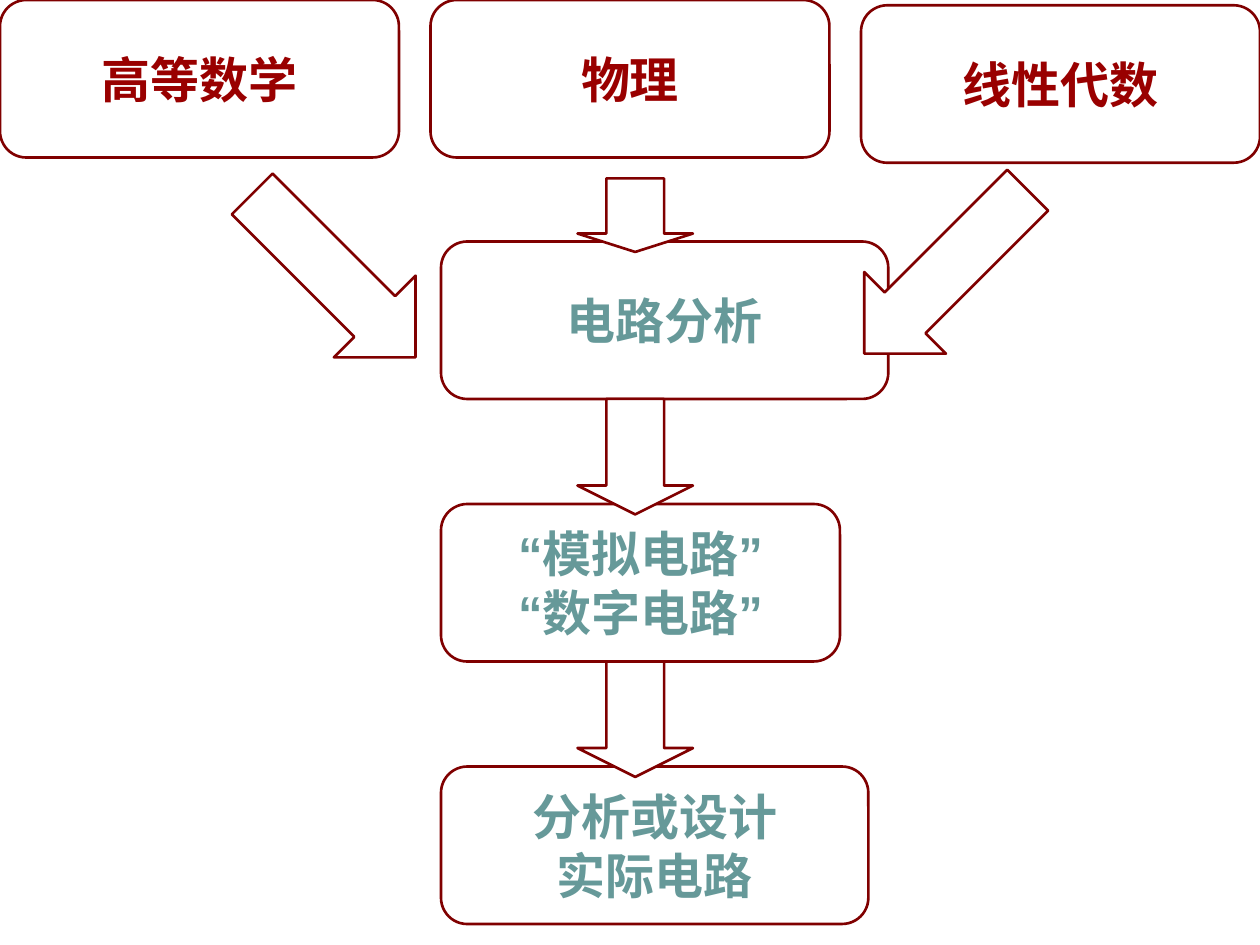
from itertools import groupby

from pptx import Presentation
from pptx.dml.color import RGBColor
from pptx.enum.shapes import MSO_SHAPE
from pptx.enum.text import MSO_ANCHOR, PP_ALIGN
from pptx.oxml.ns import qn
from pptx.util import Inches, Pt

COLORS = {"outline": "800000", "prerequisite": "990000", "course": "669999", "arrow": "FFFFFF"}
QUOTES = "“”"
FONTS = {True: "Arial", False: "Noto Sans CJK KR"}
TEXT_FORMAT = {"size": Pt(28), "bold": True}
FRAME_FORMAT = {"word_wrap": False, "vertical_anchor": MSO_ANCHOR.MIDDLE}

presentation = Presentation()
presentation.slide_width, presentation.slide_height = Inches(10), Inches(7.5)
slide = presentation.slides.add_slide(presentation.slide_layouts.get_by_name("Blank"))
COLUMN = presentation.slide_width / 12
ROW = presentation.slide_height / 18


def add_outlined(kind, left, top, width, height):
    """Add a shape placed in grid columns and rows, with the common outline."""
    shape = slide.shapes.add_shape(
        kind, int(left * COLUMN), int(top * ROW), int(width * COLUMN), int(height * ROW))
    shape.shadow.inherit = False
    shape.line.color.rgb = RGBColor.from_string(COLORS["outline"])
    shape.line.width = Pt(1.5)
    return shape


def add_box(left, top, width, lines, color):
    shape = add_outlined(MSO_SHAPE.ROUNDED_RECTANGLE, left, top, width, 3)
    shape.fill.background()
    frame = shape.text_frame
    for name, value in FRAME_FORMAT.items():
        setattr(frame, name, value)
    for index, line in enumerate(lines):
        paragraph = frame.add_paragraph() if index else frame.paragraphs[0]
        paragraph.alignment = PP_ALIGN.CENTER
        for is_quote, letters in groupby(line, key=lambda letter: letter in QUOTES):
            run = paragraph.add_run()
            run.text = "".join(letters)
            for name, value in TEXT_FORMAT.items():
                setattr(run.font, name, value)
            run.font.color.rgb = RGBColor.from_string(COLORS[color])
            run.font.name = FONTS[is_quote]
            east_asian = run._r.get_or_add_rPr().makeelement(
                qn("a:ea"), {"typeface": FONTS[is_quote]})
            run._r.rPr.find(qn("a:latin")).addnext(east_asian)


# Prerequisites along the top, at an equal step
for index, (subject, top) in enumerate([("高等数学", 0), ("物理", 0), ("线性代数", 0.1)]):
    add_box(4.1 * index, top, 3.8, [subject], "prerequisite")

# Courses down the middle, five rows apart
courses = [
    (4.26, ["电路分析"]),
    (3.8, ["“模拟电路”", "“数字电路”"]),
    (4.07, ["分析或设计", "实际电路"]),
]
for index, (width, lines) in enumerate(courses):
    add_box(4.2, 4.6 + 5 * index, width, lines, "course")

# Arrows: left, top, height, head ratio, rotation
arrows = [
    (5.5, 3.4, 1.4, 0.25, 0),
    (5.5, 7.6, 2.2, 0.25, 0),
    (5.5, 12.6, 2.2, 0.25, 0),
    (2.63, 3.05, 4.4, 0.5, 315),
    (8.46, 2.98, 4.4, 0.5, 45),
]
for left, top, height, head, rotation in arrows:
    arrow = add_outlined(MSO_SHAPE.DOWN_ARROW, left, top, 1.1, height)
    arrow.fill.solid()
    arrow.fill.fore_color.rgb = RGBColor.from_string(COLORS["arrow"])
    arrow.adjustments[1] = head
    arrow.rotation = rotation

presentation.save("out.pptx")
